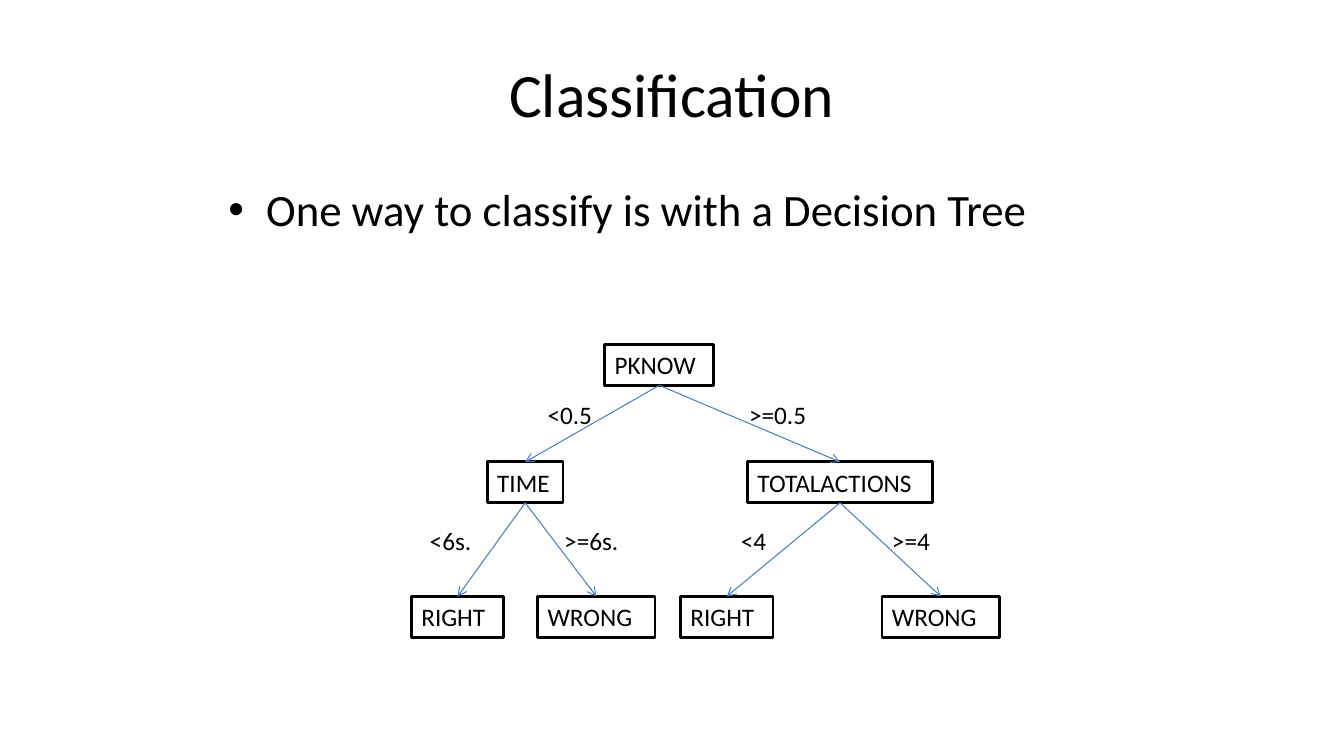
from pptx import Presentation
from pptx.dml.color import RGBColor
from pptx.enum.shapes import MSO_CONNECTOR
from pptx.enum.text import MSO_AUTO_SIZE
from pptx.oxml.ns import qn
from pptx.util import Cm, Pt
from lxml.etree import SubElement

BLACK = RGBColor(0x00, 0x00, 0x00)
WHITE = RGBColor(0xFF, 0xFF, 0xFF)
BLUE = RGBColor(0x4B, 0x7E, 0xBC)
FONT = "Calibri"

TITLE = "Classification"
BULLET = "One way to classify is with a Decision Tree"

NODE_TOPS = [8.68, 11.64, 15.03]
LABEL_TOPS = [9.95, 13.12]
BOX_HEIGHT = 1.03
LABEL_WIDTH = 2.33

# key: (text, level, left, width)
NODES = {
    "root": ("PKNOW", 0, 15.24, 2.75),
    "time": ("TIME", 1, 12.28, 1.91),
    "actions": ("TOTALACTIONS", 1, 18.84, 4.66),
    "fast": ("RIGHT", 2, 10.37, 2.33),
    "few": ("RIGHT", 2, 17.15, 2.33),
    "slow": ("WRONG", 2, 13.55, 2.96),
    "many": ("WRONG", 2, 22.23, 2.96),
}
# (parent, child, label, label left)
BRANCHES = [
    ("root", "time", "<0.5", 13.55),
    ("root", "actions", ">=0.5", 18.63),
    ("time", "fast", "<6s.", 10.58),
    ("time", "slow", ">=6s.", 13.97),
    ("actions", "few", "<4", 18.42),
    ("actions", "many", ">=4", 22.23),
]


def write(shape, text, size):
    paragraph = shape.text_frame.paragraphs[0]
    run = paragraph.add_run()
    run.text = text
    run.font.name = FONT
    run.font.size = Pt(size)
    run.font.color.rgb = BLACK


def place(shape, left, top, width, height):
    shape.left, shape.top = Cm(left), Cm(top)
    shape.width, shape.height = Cm(width), Cm(height)


def add_text(slide, text, left, top, width):
    box = slide.shapes.add_textbox(Cm(left), Cm(top), Cm(width), Cm(BOX_HEIGHT))
    box.text_frame.word_wrap = True
    box.text_frame.auto_size = MSO_AUTO_SIZE.SHAPE_TO_FIT_TEXT
    write(box, text, 18)
    return box


def add_node(slide, text, level, left, width):
    box = add_text(slide, text, left, NODE_TOPS[level], width)
    box.fill.solid()
    box.fill.fore_color.rgb = WHITE
    box.line.color.rgb = BLACK
    box.line.width = Pt(2)
    return box


def add_arrow(slide, parent, child):
    arrow = slide.shapes.add_connector(MSO_CONNECTOR.STRAIGHT, 0, 0, 0, 0)
    arrow.begin_connect(parent, 2)
    arrow.end_connect(child, 0)
    arrow.line.color.rgb = BLUE
    arrow.line.width = Pt(0.75)
    SubElement(arrow.line._get_or_add_ln(), qn("a:tailEnd"), type="arrow")
    SubElement(arrow._element.spPr, qn("a:effectLst"))


def main():
    """Build the decision tree slide."""
    presentation = Presentation()
    presentation.slide_width, presentation.slide_height = Cm(33.87), Cm(19.05)
    slide = presentation.slides.add_slide(presentation.slide_layouts[1])

    title, body = slide.shapes.title, slide.placeholders[1]
    place(title, 1.69, 0.76, 30.48, 3.18)
    write(title, TITLE, 44)
    place(body, 5.5, 4.45, 22.43, 14.18)
    write(body, BULLET, 32)

    boxes = {key: add_node(slide, *node) for key, node in NODES.items()}
    for parent, child, _, _ in BRANCHES:
        add_arrow(slide, boxes[parent], boxes[child])
    for parent, _, label, left in BRANCHES:
        add_text(slide, label, left, LABEL_TOPS[NODES[parent][1]], LABEL_WIDTH)

    presentation.save("out.pptx")


if __name__ == "__main__":
    main()
